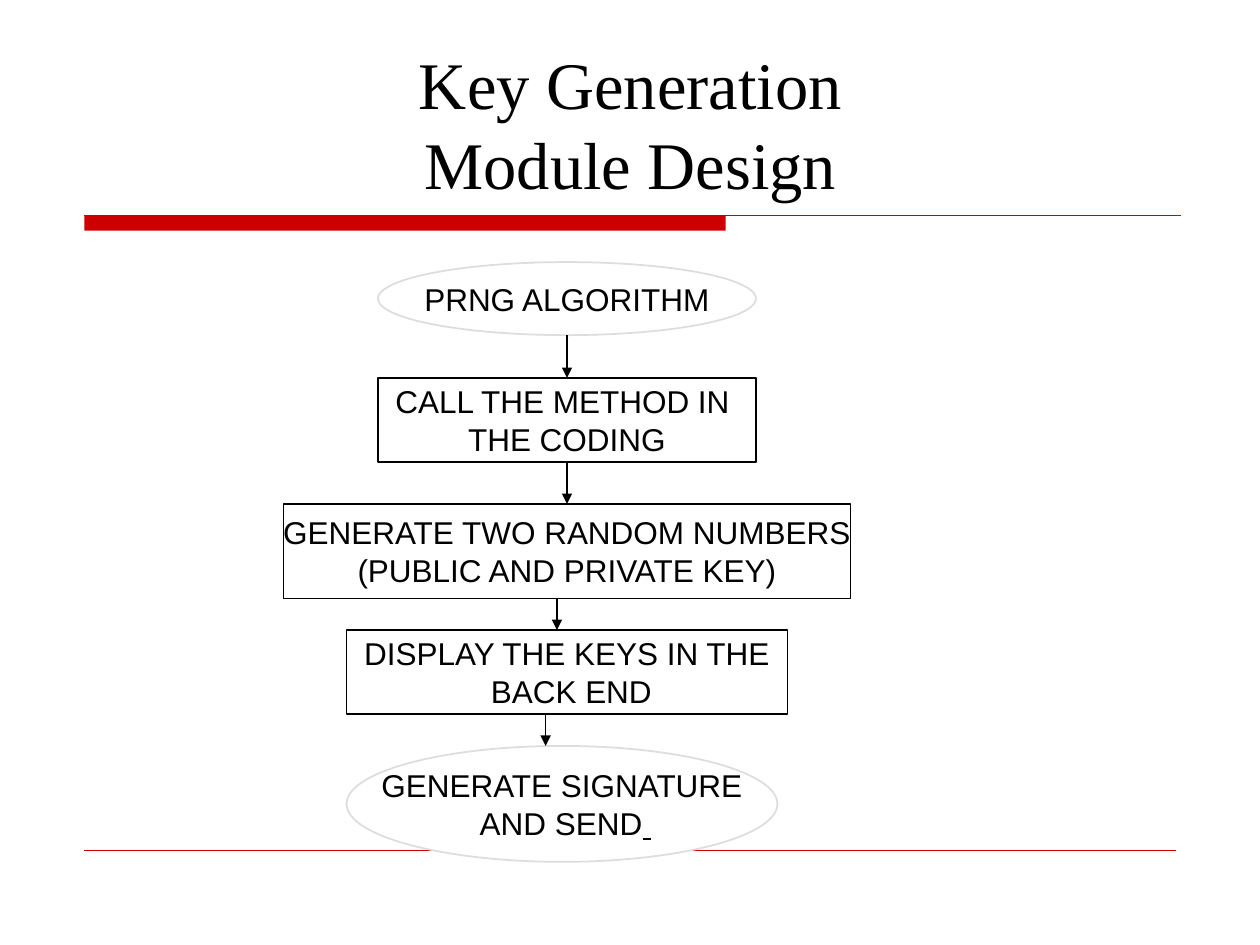
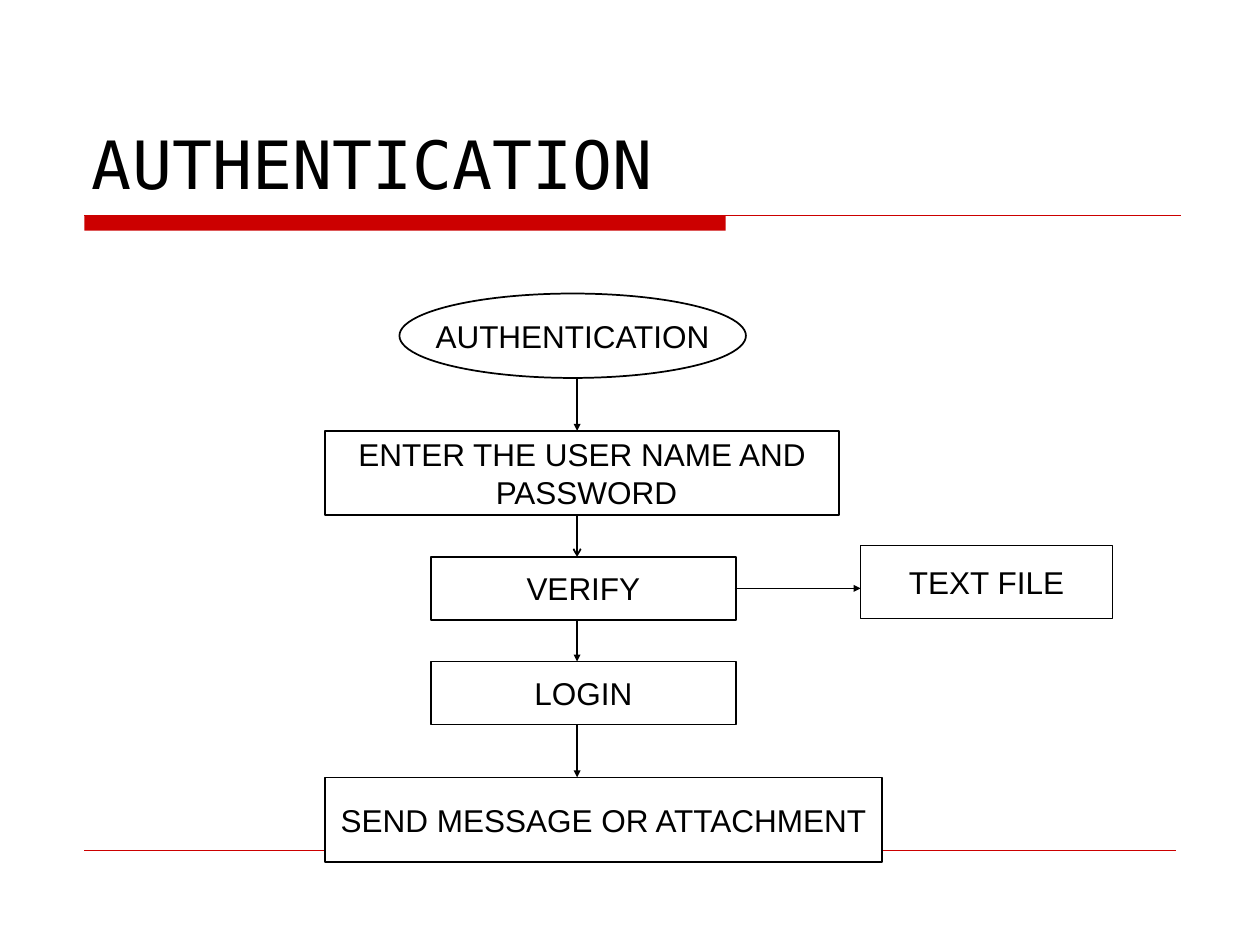
from pptx import Presentation
from pptx import util as u
from pptx.dml.color import RGBColor
from pptx.enum import shapes, text
from lxml import etree

INK = {"red": "CC0000", "black": "000000", "white": "FFFFFF", "grey": "DDDDDD"}
RGB = {name: RGBColor.from_string(code) for name, code in INK.items()}
NS = "{http://schemas.openxmlformats.org/drawingml/2006/main}"
OVAL, BOX = shapes.MSO_SHAPE.OVAL, shapes.MSO_SHAPE.RECTANGLE
MID, LEFT = text.PP_ALIGN.CENTER, text.PP_ALIGN.LEFT


def add_line(slide, start, end, color, width, head=None, size="med"):
    ends = [u.Inches(v) for v in (*start, *end)]
    line = slide.shapes.add_connector(shapes.MSO_CONNECTOR.STRAIGHT, *ends)
    line.line.color.rgb = RGB[color]
    line.line.width = u.Pt(width)
    if head:
        etree.SubElement(line.line._get_or_add_ln(), NS + "tailEnd",
                         type=head, w=size, len=size)
    etree.SubElement(line._element.spPr, NS + "effectLst")


def add_node(slide, kind, place, label, color):
    node = slide.shapes.add_shape(kind, *[u.Inches(v) for v in place])
    node.shadow.inherit = False
    node.fill.solid()
    node.fill.fore_color.rgb = RGB["white"]
    node.line.color.rgb = RGB[color]
    node.line.width = u.Pt(1)
    frame = node.text_frame
    frame.text = label
    frame.word_wrap = False
    frame.vertical_anchor = text.MSO_ANCHOR.MIDDLE
    for para in frame.paragraphs:
        para.alignment = MID
        para.font.name = "Arial"
        para.font.size = u.Pt(18)
        para.font.color.rgb = RGB["black"]
    return node


keys = {
    "title": "Key Generation\vModule Design",
    "font": "Times New Roman", "align": MID, "oval": "grey",
    "nodes": [
        (OVAL, (3, 2.08, 3, 0.58), "PRNG ALGORITHM"),
        (BOX, (3, 3, 3, 0.67), "CALL THE METHOD IN \nTHE CODING"),
        (BOX, (2.25, 4, 4.5, 0.75),
         "GENERATE TWO RANDOM NUMBERS\n(PUBLIC AND PRIVATE KEY)"),
        (BOX, (2.75, 5, 3.5, 0.67), "DISPLAY THE KEYS IN THE\n BACK END"),
        (OVAL, (2.75, 5.92, 3.42, 0.92), "GENERATE SIGNATURE\n AND SEND"),
    ],
    "arrows": [(4.5, "triangle"), (4.5, "triangle"),
               (4.42, "triangle"), (4.33, "triangle")],
    "width": 0.75, "size": "med",
}
login = {
    "title": "AUTHENTICATION",
    "font": "DejaVu Sans Mono", "align": LEFT, "oval": "black",
    "nodes": [
        (OVAL, (3.17, 2.33, 2.75, 0.67), "AUTHENTICATION"),
        (BOX, (2.58, 3.42, 4.08, 0.67), "ENTER THE USER NAME AND\n PASSWORD"),
        (BOX, (3.42, 4.42, 2.42, 0.5), "VERIFY"),
        (BOX, (3.42, 5.25, 2.42, 0.5), "LOGIN"),
        (BOX, (2.58, 6.17, 4.42, 0.67), "SEND MESSAGE OR ATTACHMENT"),
    ],
    "arrows": [(4.58, "triangle"), (4.58, "arrow"),
               (4.58, "triangle"), (4.58, "triangle")],
    "width": 1, "size": "sm",
}

deck = Presentation()
deck.slide_width, deck.slide_height = u.Inches(10), u.Inches(7.5)

for chart in (keys, login):
    slide = deck.slides.add_slide(deck.slide_layouts[5])
    band = slide.shapes.add_shape(BOX, *[u.Inches(v) for v in (0.67, 1.71, 5.09, 0.12)])
    band.shadow.inherit = False
    band.fill.solid()
    band.fill.fore_color.rgb = RGB["red"]
    band.line.fill.background()
    add_line(slide, (0.67, 1.71), (9.37, 1.71), "red", 0.75)
    add_line(slide, (0.67, 6.75), (9.33, 6.75), "red", 0.25)

    title = slide.shapes.title
    title.left, title.top = u.Inches(0.63), u.Inches(0.33)
    title.width, title.height = u.Inches(8.75), u.Inches(1.33)
    frame = title.text_frame
    frame.text = chart["title"]
    frame.auto_size = text.MSO_AUTO_SIZE.NONE
    frame.vertical_anchor = text.MSO_ANCHOR.BOTTOM
    para = frame.paragraphs[0]
    para.alignment = chart["align"]
    para.font.name = chart["font"]
    para.font.size = u.Pt(38)
    para.font.color.rgb = RGB["black"]

    for kind, place, label in chart["nodes"]:
        color = chart["oval"] if kind == OVAL else "black"
        node = add_node(slide, kind, place, label, color)
    if chart is keys:
        gap = node.text_frame.paragraphs[-1].add_run()
        gap.text = " "
        gap.font.underline = True

    spots = [place for kind, place, label in chart["nodes"]]
    for upper, lower, (x, head) in zip(spots, spots[1:], chart["arrows"]):
        add_line(slide, (x, upper[1] + upper[3]), (x, lower[1]), "black",
                 chart["width"], head, chart["size"])

add_node(slide, BOX, (6.83, 4.33, 2, 0.58), "TEXT FILE", "black")
add_line(slide, (5.83, 4.67), (6.83, 4.67), "black", 1, "triangle", "sm")

deck.save("out.pptx")
